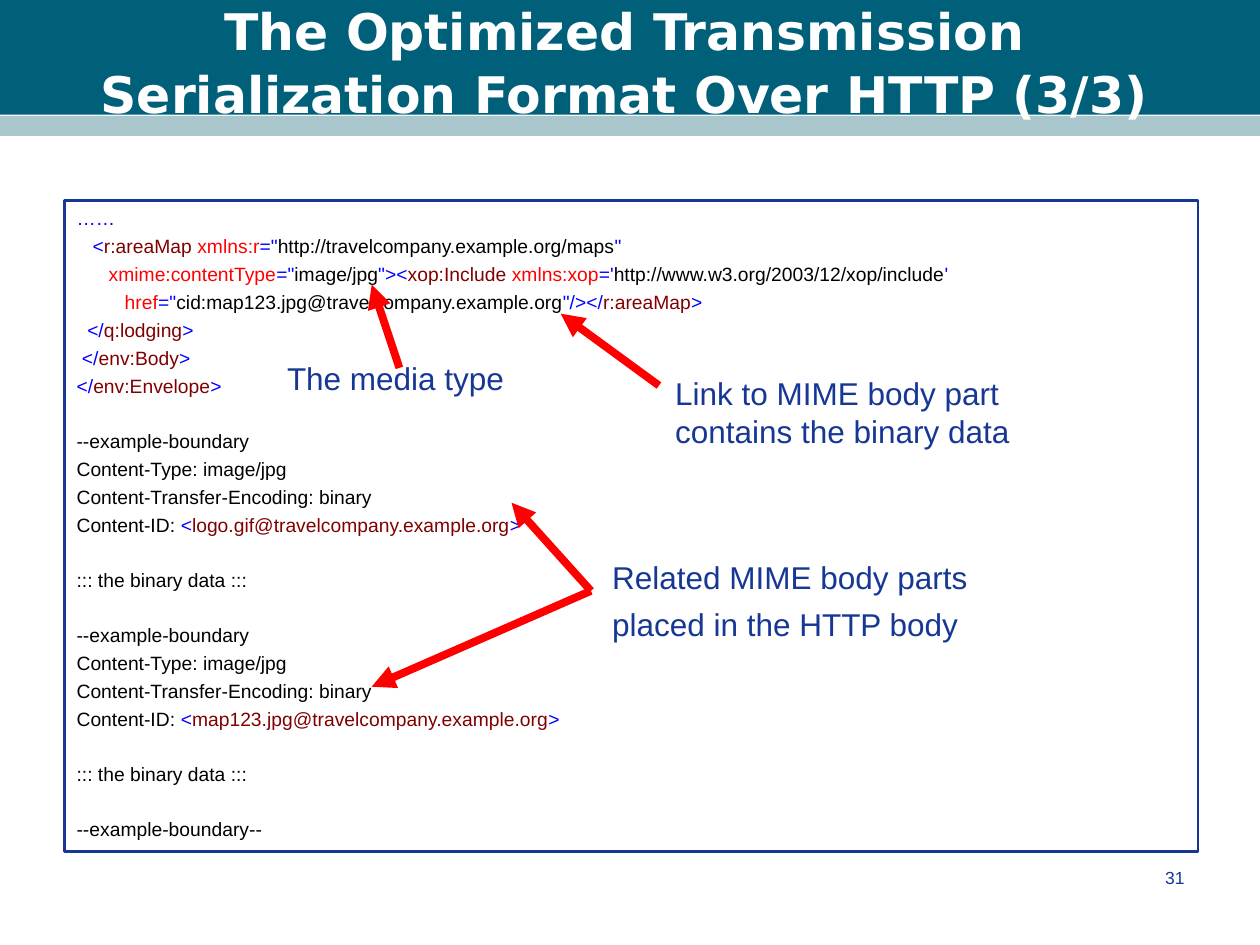
import pptx
import pptx.dml.color
import pptx.enum.shapes
import pptx.enum.text
import pptx.oxml
import pptx.util

RGB = pptx.dml.color.RGBColor
Pt = pptx.util.Pt
ALIGN = pptx.enum.text.PP_ALIGN
ANCHOR = pptx.enum.text.MSO_ANCHOR
RECT = pptx.enum.shapes.MSO_SHAPE.RECTANGLE
LINE = pptx.enum.shapes.MSO_CONNECTOR.STRAIGHT

TEAL = RGB(0x00, 0x60, 0x7A)
MIST = RGB(0xA9, 0xC6, 0xCC)
NAVY = RGB(0x16, 0x37, 0x94)
WHITE = RGB(0xFF, 0xFF, 0xFF)
BLACK = RGB(0x00, 0x00, 0x00)
BLUE = RGB(0x00, 0x00, 0xFF)
BROWN = RGB(0x80, 0x00, 0x00)
RED = RGB(0xFF, 0x00, 0x00)

HEAD = {"name": "DejaVu Sans", "size": Pt(28.8), "bold": True}
CODE = {"name": "Arial", "size": Pt(11)}
NOTE = {"name": "Arial", "size": Pt(18)}
PAGE = {"name": "Arial", "size": Pt(10)}

deck = pptx.Presentation()
deck.slide_width = pptx.util.Inches(10)
deck.slide_height = pptx.util.Inches(7.5)
slide = deck.slides.add_slide(deck.slide_layouts[5])
shapes = slide.shapes


def area(*parts):
    """Turn percent shares of the slide, x and y in turn, into lengths."""
    sides = (deck.slide_width, deck.slide_height) * 2
    return [int(side * part / 100) for side, part in zip(sides, parts)]


def write(para, text, form, color):
    run = para.add_run()
    run.text = text
    for key, value in form.items():
        setattr(run.font, key, value)
    run.font.color.rgb = color


# Header bands, kept behind the title
for top, high, color in ((0, 12.13, TEAL), (12.27, 2.13, MIST)):
    band = shapes.add_shape(RECT, *area(0, top, 100, high))
    band.shadow.inherit = False
    band.fill.solid()
    band.fill.fore_color.rgb = color
    band.line.fill.background()

title = shapes.title
shapes._spTree.append(title._element)
title.left, title.top, title.width, title.height = area(3.3, 2.27, 92.5, 8.27)
frame = title.text_frame
frame.word_wrap = True
frame.auto_size = pptx.enum.text.MSO_AUTO_SIZE.NONE
frame.vertical_anchor = ANCHOR.MIDDLE
para = frame.paragraphs[0]
para.alignment = ALIGN.CENTER
para.line_spacing = 1.04
write(para, "The Optimized Transmission Serialization Format Over HTTP (3/3)", HEAD, WHITE)

# Code listing: each line is a list of coloured pieces, an empty list is a gap
lines = [
    [("……", BLUE)],
    [("   <", BLUE), ("r:areaMap", BROWN), (" xmlns:r", RED), ('="', BLUE),
     ("http://travelcompany.example.org/maps", BLACK), ('"', BLUE)],
    [("      xmime:contentType", RED), ('="', BLUE), ("image/jpg", BLACK),
     ('"><', BLUE), ("xop:Include", BROWN), (" xmlns:xop", RED), ("='", BLUE),
     ("http://www.w3.org/2003/12/xop/include", BLACK), ("'", BLUE)],
    [("         href", RED), ('="', BLUE),
     ("cid:map123.jpg@travelcompany.example.org", BLACK),
     ('"/></', BLUE), ("r:areaMap", BROWN), (">", BLUE)],
]
for lead, tag in (("  </", "q:lodging"), (" </", "env:Body"), ("</", "env:Envelope")):
    lines.append([(lead, BLUE), (tag, BROWN), (">", BLUE)])
for name in ("logo.gif", "map123.jpg"):
    lines += [
        [],
        [("--example-boundary", BLACK)],
        [("Content-Type: image/jpg", BLACK)],
        [("Content-Transfer-Encoding: binary", BLACK)],
        [("Content-ID: ", BLACK), ("<", BLUE),
         (name + "@travelcompany.example.org", BROWN), (">", BLUE)],
        [],
        [("::: the binary data :::", BLACK)],
    ]
lines += [[], [("--example-boundary--", BLACK)]]

box = shapes.add_shape(RECT, *area(5.1, 21.2, 90, 68.93))
box.shadow.inherit = False
box.fill.background()
box.line.color.rgb = NAVY
box.line.width = Pt(1.5)
frame = box.text_frame
frame.word_wrap = True
frame.vertical_anchor = ANCHOR.TOP
para = frame.paragraphs[0]
GAP, PITCH = 2.78, 15.43
space = 0
for line in lines:
    if not line:
        space += PITCH
        continue
    if space:
        para = frame.add_paragraph()
    para.alignment = ALIGN.LEFT
    para.space_before = Pt(space)
    for text, color in line:
        write(para, text, CODE, color)
    space = GAP

# Arrows from the notes to the code
for ends in (
    (46.9, 62.53, 40.6, 53.2),
    (46.9, 62.53, 29.5, 72.67),
    (52.3, 40.8, 44.5, 33.2),
    (31.7, 38.93, 29.5, 30.13),
):
    arrow = shapes.add_connector(LINE, *area(*ends))
    arrow.line.color.rgb = RED
    arrow.line.width = Pt(4.5)
    tip = pptx.oxml.parse_xml(
        '<a:tailEnd xmlns:a="http://schemas.openxmlformats.org/drawingml/2006/main" type="triangle"/>')
    arrow.line._get_or_add_ln().append(tip)
    arrow._element.spPr.append(pptx.oxml.parse_xml(
        '<a:effectLst xmlns:a="http://schemas.openxmlformats.org/drawingml/2006/main"/>'))

# Notes and page number
for place, texts, form, side in (
    ((47.6, 58.4, 30.7, 10.27), ("Related MIME body parts", "placed in the HTTP body"), NOTE, ALIGN.LEFT),
    ((52.6, 38.93, 29.7, 9.47), ("Link to MIME body part contains the binary data",), NOTE, ALIGN.LEFT),
    ((21.8, 37.33, 22.4, 5.33), ("The media type",), NOTE, ALIGN.LEFT),
    ((71.7, 91.07, 23.3, 6.67), ("31",), PAGE, ALIGN.RIGHT),
):
    frame = shapes.add_textbox(*area(*place)).text_frame
    frame.word_wrap = True
    for spot, text in enumerate(texts):
        para = frame.add_paragraph() if spot else frame.paragraphs[0]
        para.space_before = Pt(5 if spot else 0)
        para.alignment = side
        write(para, text, form, NAVY)

deck.save("out.pptx")
